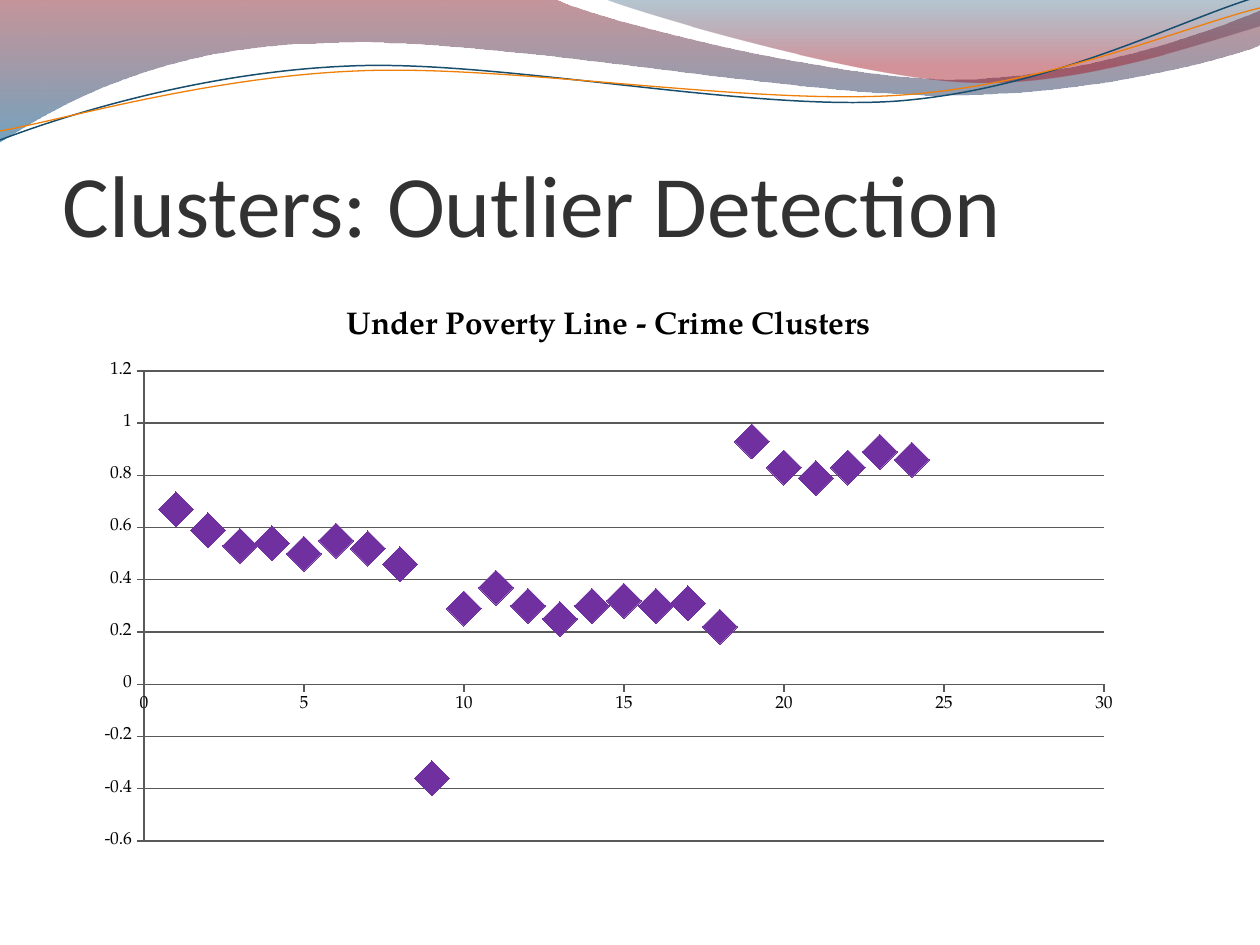
from lxml.etree import SubElement
from pptx import Presentation
from pptx.chart.data import XyChartData
from pptx.dml.color import RGBColor
from pptx.enum.chart import XL_CHART_TYPE as ChartType, XL_MARKER_STYLE as MarkerStyle
from pptx.enum.chart import XL_TICK_MARK as TickMark
from pptx.enum.text import MSO_ANCHOR as Anchor
from pptx.oxml import parse_xml
from pptx.oxml.ns import nsdecls, qn
from pptx.util import Emu, Pt

SCALE = 914400 / 126

BLACK = RGBColor(0x00, 0x00, 0x00)
CHARCOAL = RGBColor(0x32, 0x32, 0x32)
GRAY = RGBColor(0x59, 0x59, 0x59)
MAROON = RGBColor(0x7E, 0x16, 0x21)
BLUE = RGBColor(0x00, 0x56, 0x89)
NAVY = RGBColor(0x09, 0x44, 0x67)
RED = RGBColor(0xA1, 0x0F, 0x1F)
DARK_TEAL = RGBColor(0x18, 0x4E, 0x6D)
ORANGE = RGBColor(0xF0, 0x7F, 0x09)
PURPLE = RGBColor(0x70, 0x30, 0xA0)

HEADING_FONT = "Calibri"
CHART_FONT = "TeX Gyre Pagella"
CHART_TITLE = "Under Poverty Line - Crime Clusters"
CORRELATIONS = [0.67, 0.59, 0.53, 0.54, 0.5, 0.55, 0.52, 0.46, -0.36, 0.29, 0.37, 0.3,
                0.25, 0.3, 0.32, 0.3, 0.31, 0.22, 0.93, 0.83, 0.79, 0.83, 0.89, 0.86]

WAVES = [
    ([[(0, 0)], [(554, -1)],
      [(600, 21), (837, 79), (955, 79)], [(1075, 79), (1207, 33), (1260, 11)],
      [(1261, 45)], [(1239, 55), (1096, 96), (940, 95)],
      [(784, 95), (481, 35), (324, 43)], [(163, 45), (58, 105), (-1, 142)]],
     [(0, MAROON, 45), (1, BLUE, 55)]),
    ([[(604, -1)], [(641, 14), (859, 78), (969, 82)],
      [(1079, 87), (1211, 40), (1260, 26)], [(1260, 0)]],
     [(0, NAVY, 30), (0.8, RED, 45)]),
]
STRANDS = [
    ([[(0, 140)], [(60, 117), (199, 72), (349, 66)],
      [(498, 59), (747, 112), (898, 101)], [(1050, 89), (1182, 19), (1257, -3)]],
     DARK_TEAL, 0.85),
    ([[(0, 131)], [(59, 121), (207, 77), (357, 71)],
      [(508, 64), (752, 106), (903, 95)], [(1053, 84), (1186, 26), (1260, 8)]],
     ORANGE, 0.75),
]


def px(value):
    return Emu(round(value * SCALE))


def add_path(slide, left, top, segments, close):
    ends = [(px(left + x), px(top + y)) for x, y in (segment[-1] for segment in segments)]
    builder = slide.shapes.build_freeform(*ends[0], scale=1.0)
    builder.add_line_segments(ends[1:], close=close)
    shape = builder.convert_to_shape()
    shape.shadow.inherit = False
    lines = list(shape.element.spPr.iter(qn("a:lnTo")))
    for line, segment in zip(lines, segments[1:]):
        if len(segment) == 3:
            curve = parse_xml(f'<a:cubicBezTo {nsdecls("a")}/>')
            for x, y in segment:
                point = SubElement(curve, qn("a:pt"))
                point.set("x", str(px(left + x) - shape.left))
                point.set("y", str(px(top + y) - shape.top))
            line.getparent().replace(line, curve)
    return shape


def fill_gradient(shape, stops):
    shape.fill.gradient()
    shape.fill.gradient_angle = 270
    for stop, (position, color, opacity) in zip(shape.fill.gradient_stops, stops):
        stop.position = position
        stop.color.rgb = color
    colors = shape.element.spPr.iter(qn("a:srgbClr"))
    for element, (position, color, opacity) in zip(colors, stops):
        SubElement(element, qn("a:alpha")).set("val", str(opacity * 1000))


def add_wave_banner(slide, left, top):
    for segments, stops in WAVES:
        wave = add_path(slide, left, top, segments, True)
        fill_gradient(wave, stops)
        wave.line.fill.background()
    for segments, color, width in STRANDS:
        strand = add_path(slide, left, top, segments, False)
        strand.fill.background()
        strand.line.color.rgb = color
        strand.line.width = Pt(width)


def format_font(font, name, size, color, bold=False):
    font.name = name
    font.size = Pt(size)
    font.bold = bold
    font.color.rgb = color


def add_text(slide, text, left, top, width, height, anchor=Anchor.TOP, **font_format):
    box = slide.shapes.add_textbox(px(left), px(top), px(width), px(height))
    frame = box.text_frame
    frame.word_wrap = True
    frame.vertical_anchor = anchor
    frame.margin_left = frame.margin_right = frame.margin_bottom = 0
    frame.margin_top = px(6)
    paragraph = frame.paragraphs[0]
    run = paragraph.add_run()
    run.text = text
    format_font(run.font, **font_format)


def format_axis(axis, gridlines):
    axis.major_tick_mark = TickMark.OUTSIDE
    axis.minor_tick_mark = TickMark.NONE
    axis.has_major_gridlines = gridlines
    axis.tick_labels.number_format = "General"
    axis.tick_labels.number_format_is_linked = False
    lines = [axis.format.line]
    if gridlines:
        lines.append(axis.major_gridlines.format.line)
    for line in lines:
        line.color.rgb = GRAY
        line.width = Pt(0.75)


def place_plot(chart, x, y, width, height):
    plot_area = chart.element.chart.plotArea
    for layout in plot_area.findall(qn("c:layout")):
        plot_area.remove(layout)
    values = "".join(f'<c:{tag} val="{value:.4f}"/>'
                     for tag, value in zip("xywh", (x, y, width, height)))
    plot_area.insert(0, parse_xml(
        f'<c:layout {nsdecls("c")}><c:manualLayout><c:layoutTarget val="inner"/>'
        f'<c:xMode val="edge"/><c:yMode val="edge"/>{values}</c:manualLayout></c:layout>'))


def add_cluster_chart(slide, left, top, width, height):
    data = XyChartData()
    points = data.add_series(CHART_TITLE)
    for index, value in enumerate(CORRELATIONS, 1):
        points.add_data_point(index, value)
    chart = slide.shapes.add_chart(ChartType.XY_SCATTER, px(left), px(top),
                                   px(width), px(height), data).chart
    format_font(chart.font, CHART_FONT, 10, BLACK)
    chart.has_legend = False
    chart.has_title = True
    title = chart.chart_title.text_frame
    title.text = CHART_TITLE
    format_font(title.paragraphs[0].runs[0].font, CHART_FONT, 18, BLACK, bold=True)
    format_axis(chart.category_axis, False)
    format_axis(chart.value_axis, True)
    place_plot(chart, 60 / width, 87 / height, 960 / width, 470 / height)
    chart.plots[0].vary_by_categories = False
    series = chart.plots[0].series[0]
    series.format.line.fill.background()
    series.marker.style = MarkerStyle.DIAMOND
    series.marker.size = 20
    series.marker.format.fill.solid()
    series.marker.format.fill.fore_color.rgb = PURPLE
    series.marker.format.line.color.rgb = PURPLE


def main():
    presentation = Presentation()
    presentation.slide_width = px(1260)
    presentation.slide_height = px(945)
    slide = presentation.slides.add_slide(presentation.slide_layouts[6])
    add_wave_banner(slide, 0, 0)
    add_text(slide, "Clusters: Outlier Detection", 63, 97, 1134, 158, anchor=Anchor.BOTTOM,
             name=HEADING_FONT, size=50, color=CHARCOAL)
    add_cluster_chart(slide, 84, 284, 1050, 577)
    presentation.save("out.pptx")


if __name__ == "__main__":
    main()
